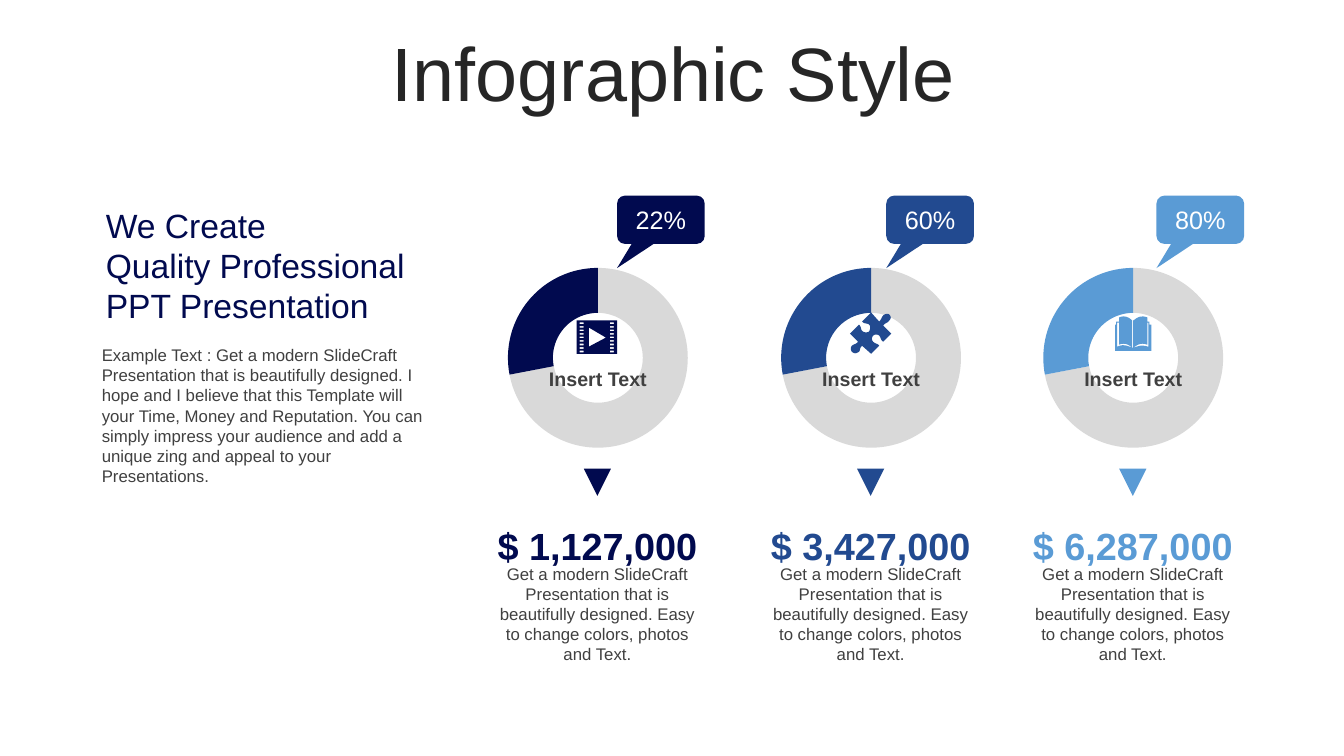
from pptx import Presentation
from pptx.chart.data import CategoryChartData
from pptx.dml.color import RGBColor
from pptx.enum import chart as charts, shapes, text
from pptx.util import Inches, Pt

# Content
COLORS = {"navy": "010A4F", "blue": "224A90", "sky": "5A9BD5",
          "ring": "D9D9D9", "title": "262626", "body": "404040", "white": "FFFFFF"}
TITLE = "Infographic Style"
HEADING = ["We Create", "Quality Professional", "PPT Presentation"]
INTRO = ("Example Text : Get a modern SlideCraft Presentation that is beautifully designed. "
         "I hope and I believe that this Template will your Time, Money and Reputation. "
         "You can simply impress your audience and add a unique zing and appeal to your "
         "Presentations.")
LABEL = "Insert Text"
NOTE = ("Get a modern SlideCraft Presentation that is beautifully designed. "
        "Easy to change colors, photos and Text.")
SHARES = (72, 28)
# Centre of column, left of callout, colour, callout text, amount
COLUMNS = [
    (5.93, 6.12, "navy", "22%", "$ 1,127,000"),
    (8.64, 8.79, "blue", "60%", "$ 3,427,000"),
    (11.24, 11.47, "sky", "80%", "$ 6,287,000"),
]

# Icon outlines: a pair is a line end, six numbers are a Bezier curve
PUZZLE = [
    (8.82, 3.12), (8.84, 3.14, 8.84, 3.16, 8.82, 3.18),
    (8.8, 3.21, 8.78, 3.2, 8.76, 3.23), (8.84, 3.31), (8.76, 3.39),
    (8.73, 3.37, 8.74, 3.35, 8.72, 3.33), (8.7, 3.31, 8.67, 3.32, 8.66, 3.33),
    (8.65, 3.34, 8.64, 3.37, 8.66, 3.39), (8.69, 3.42, 8.7, 3.4, 8.72, 3.43),
    (8.64, 3.51), (8.55, 3.43), (8.52, 3.46, 8.54, 3.46, 8.52, 3.49),
    (8.49, 3.51, 8.47, 3.51, 8.45, 3.49), (8.44, 3.48, 8.43, 3.45, 8.45, 3.43),
    (8.47, 3.41, 8.49, 3.42, 8.51, 3.39), (8.43, 3.31), (8.52, 3.22),
    (8.55, 3.25, 8.53, 3.27, 8.56, 3.29), (8.58, 3.3, 8.6, 3.3, 8.62, 3.29),
    (8.63, 3.27, 8.64, 3.24, 8.62, 3.22), (8.59, 3.2, 8.58, 3.22, 8.55, 3.19),
    (8.64, 3.1), (8.72, 3.19), (8.75, 3.16, 8.74, 3.15, 8.76, 3.13),
    (8.78, 3.11, 8.81, 3.11, 8.82, 3.12),
]
BOOK = [
    (11.23, 3.45), (11.24, 3.45), (11.3, 3.43, 11.33, 3.42, 11.39, 3.44),
    (11.39, 3.2), (11.38, 3.2), (11.38, 3.42), (11.33, 3.4, 11.29, 3.41, 11.24, 3.45),
    (11.24, 3.18), (11.27, 3.16, 11.29, 3.14, 11.33, 3.14),
    (11.34, 3.14, 11.36, 3.14, 11.38, 3.15), (11.38, 3.19), (11.4, 3.19),
    (11.4, 3.22), (11.42, 3.22), (11.42, 3.48), (11.06, 3.48), (11.06, 3.22),
    (11.07, 3.22), (11.07, 3.19), (11.1, 3.19), (11.1, 3.15),
    (11.12, 3.14, 11.14, 3.14, 11.15, 3.14), (11.18, 3.14, 11.21, 3.16, 11.23, 3.18),
    (11.23, 3.45), (11.19, 3.41, 11.14, 3.4, 11.1, 3.42), (11.1, 3.2), (11.08, 3.2),
    (11.08, 3.44), (11.14, 3.41, 11.18, 3.43, 11.23, 3.45),
]


def box(x, y, w, h):
    """Clockwise rectangle."""
    return [(x, y), (x + w, y), (x + w, y + h), (x, y + h)]


# Film strip: frame, play mark, and two columns of nine holes
FILM = [box(5.72, 3.18, 0.4, 0.33), [(5.84, 3.25), (5.84, 3.44), (6.01, 3.35)]]
FILM += [box(x, 3.2 + 0.035 * row, 0.04, 0.016)[::-1]
         for x in (5.75, 6.05) for row in range(9)]

prs = Presentation()
prs.slide_width, prs.slide_height = Inches(13.33), Inches(7.5)
slide = prs.slides.add_slide(prs.slide_layouts[5])
parts = slide.shapes


def rgb(name):
    return RGBColor.from_string(COLORS[name])


def paint(shape, color):
    shape.shadow.inherit = False
    shape.fill.solid()
    shape.fill.fore_color.rgb = rgb(color)
    shape.line.fill.background()


def write(frame, lines, size, color, align, bold=False):
    frame.word_wrap = True
    frame.text = "\n".join(lines)
    for para in frame.paragraphs:
        para.alignment = align
        font = para.font
        font.name, font.size, font.bold = "Arial", Pt(size), bold
        font.color.rgb = rgb(color)


def label(area, lines, size, color, align=text.PP_ALIGN.CENTER, bold=False, side=0):
    frame = parts.add_textbox(*map(Inches, area)).text_frame
    frame.margin_top = frame.margin_bottom = 0
    frame.margin_left = frame.margin_right = Inches(side)
    write(frame, lines, size, color, align, bold)
    frame.auto_size = text.MSO_AUTO_SIZE.SHAPE_TO_FIT_TEXT


def preset(kind, area, color):
    shape = parts.add_shape(kind, *map(Inches, area))
    paint(shape, color)
    return shape


def ring(area, color):
    data = CategoryChartData()
    data.categories = ["1", "2"]
    data.add_series("Series 1", SHARES)
    kind = charts.XL_CHART_TYPE.DOUGHNUT
    chart = parts.add_chart(kind, *map(Inches, area), data).chart
    chart.has_legend = chart.has_title = False
    chart.font.name, chart.font.size = "Arial", Pt(18)
    plot = chart.plots[0]
    plot.vary_by_categories = True
    for i, name in enumerate(("ring", color)):
        fmt = plot.series[0].points[i].format
        fmt.fill.solid()
        fmt.fill.fore_color.rgb = rgb(name)
        fmt.line.fill.background()
    for hole in chart._chartSpace.xpath(".//c:holeSize"):
        hole.set("val", "78")


def trace(steps, count=6):
    """Turn line ends and Bezier curves into a list of points."""
    points = []
    for step in steps:
        if len(step) == 2:
            points.append(step)
            continue
        ends = [points[-1], step[:2], step[2:4], step[4:]]
        for n in range(1, count + 1):
            t = n / count
            mix = ((1 - t) ** 3, 3 * t * (1 - t) ** 2, 3 * t * t * (1 - t), t ** 3)
            points.append(tuple(sum(m * e[k] for m, e in zip(mix, ends)) for k in (0, 1)))
    return points


def icon(loops, color):
    pen = None
    for loop in loops:
        points = [(Inches(x), Inches(y)) for x, y in trace(loop)]
        if pen is None:
            pen = parts.build_freeform(*points[0])
        else:
            pen.move_to(*points[0])
        pen.add_line_segments(points[1:], close=True)
    paint(pen.convert_to_shape(), color)


# Title
title = parts.title
title.left, title.top, title.width, title.height = map(Inches, (0.35, 0.37, 12.66, 0.79))
write(title.text_frame, [TITLE], 54, "title", text.PP_ALIGN.CENTER)
title.text_frame.vertical_anchor = text.MSO_ANCHOR.MIDDLE
title.text_frame.paragraphs[0].line_spacing = 0.9

# Left text
label((1.01, 2.03, 3.33, 1.21), HEADING, 24, "navy", text.PP_ALIGN.LEFT, side=0.04)
label((1.01, 3.42, 3.33, 1.41), [INTRO], 12, "body", text.PP_ALIGN.LEFT)

# Columns
for mid, left, color, share, amount in COLUMNS:
    ring((mid - 1.03, 2.52, 2.06, 2.06), color)
    call = preset(shapes.MSO_SHAPE.ROUNDED_RECTANGULAR_CALLOUT, (left, 1.94, 0.87, 0.48), color)
    call.adjustments[0], call.adjustments[1] = -0.5, 1
    write(call.text_frame, [share], 18, "white", text.PP_ALIGN.CENTER)
    call.text_frame.vertical_anchor = text.MSO_ANCHOR.MIDDLE
    label((mid - 0.59, 3.64, 1.18, 0.24), [LABEL], 14, "body", bold=True)
    mark = preset(shapes.MSO_SHAPE.FLOWCHART_EXTRACT, (mid - 0.14, 4.65, 0.27, 0.27), color)
    mark.rotation = 180
    label((mid - 1.05, 5.19, 2.09, 0.45), [amount], 27, color, bold=True)
    label((mid - 1.05, 5.59, 2.09, 1.01), [NOTE], 12, "body")

# Icons
icon(FILM, "navy")
icon([PUZZLE], "blue")
icon([BOOK], "sky")

prs.save("out.pptx")
